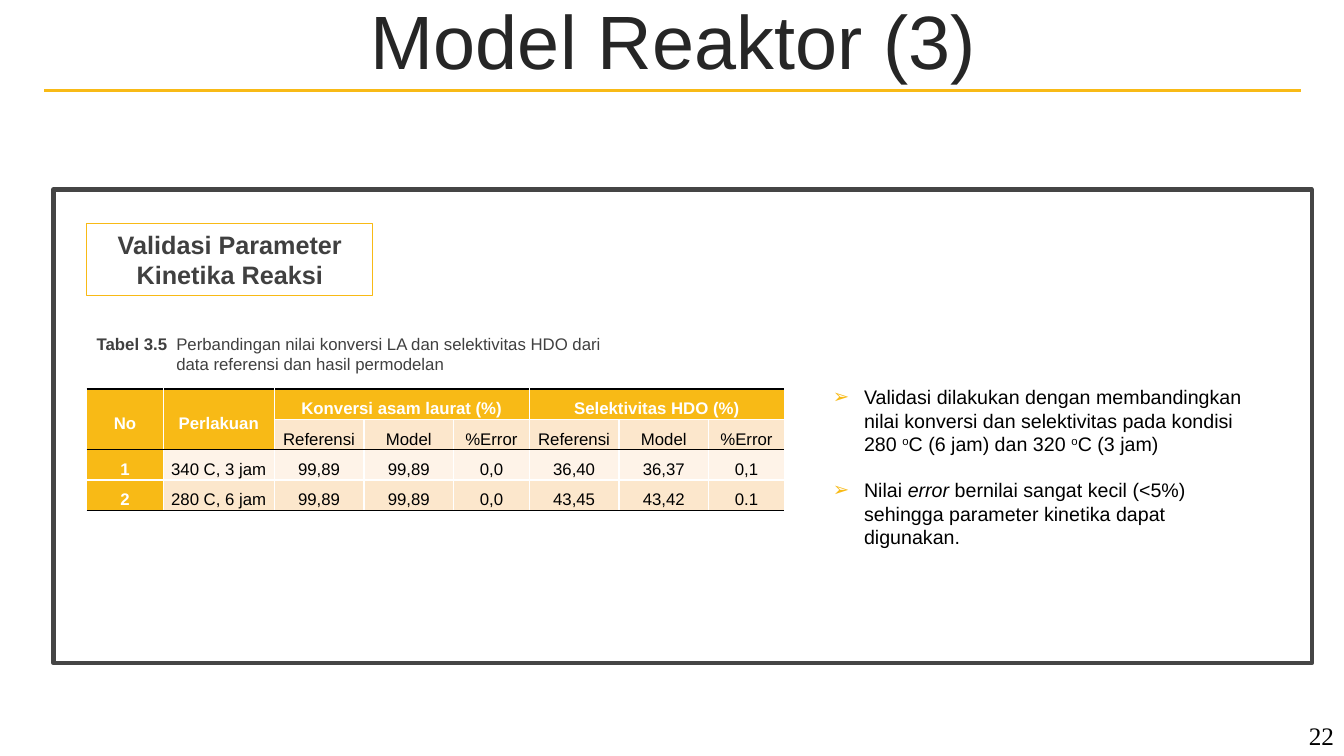
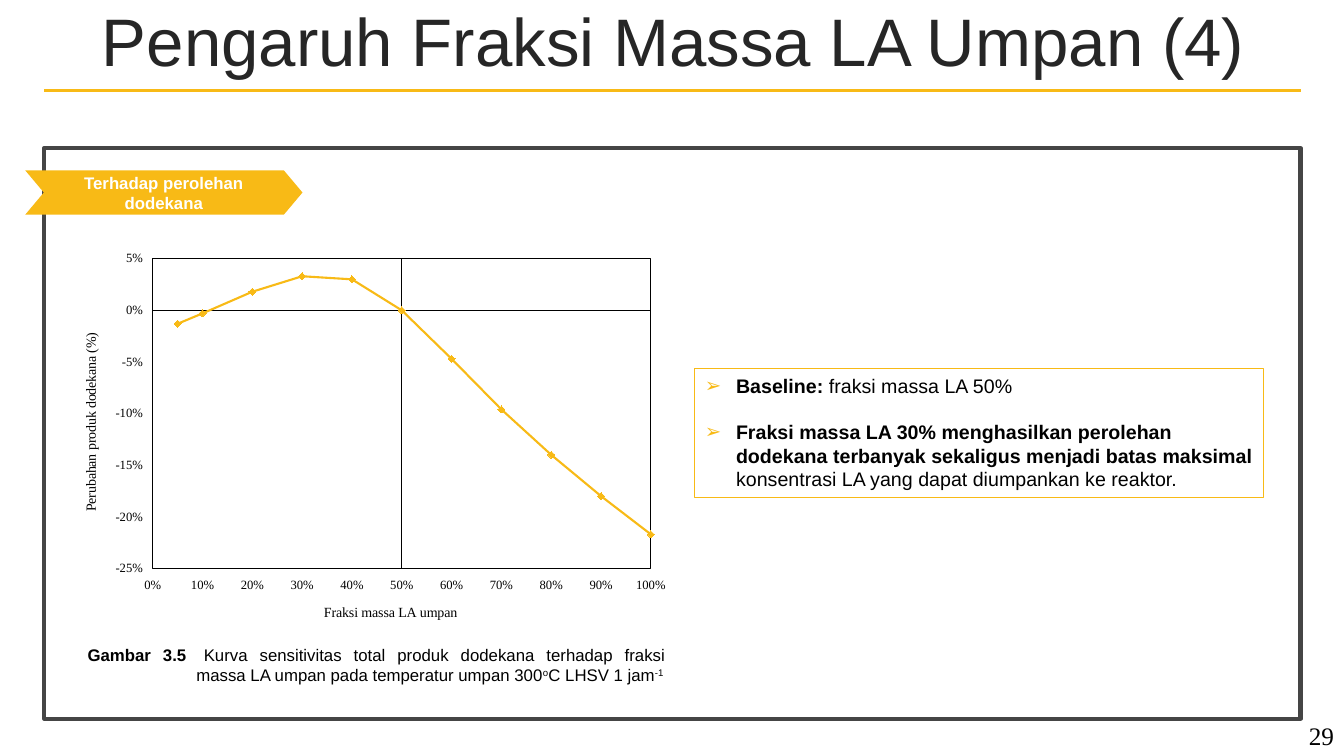
from lxml import etree
from pptx import Presentation
from pptx.chart.data import XyChartData
from pptx.dml.color import RGBColor
from pptx.enum.chart import XL_CHART_TYPE, XL_MARKER_STYLE, XL_TICK_LABEL_POSITION, XL_TICK_MARK
from pptx.enum.shapes import MSO_CONNECTOR, MSO_SHAPE
from pptx.enum.text import MSO_ANCHOR, MSO_AUTO_SIZE, PP_ALIGN
from pptx.oxml import parse_xml
from pptx.oxml.ns import nsdecls, qn
from pptx.util import Inches, Pt

GOLD = RGBColor(0xF8, 0xBA, 0x16)
FRAME = RGBColor(0x45, 0x45, 0x45)
GREY = RGBColor(0x40, 0x40, 0x40)
INK = RGBColor(0x26, 0x26, 0x26)
BLACK = RGBColor(0, 0, 0)
WHITE = RGBColor(0xFF, 0xFF, 0xFF)
BAND_DARK = RGBColor(0xFC, 0xE7, 0xCC)
BAND_LIGHT = RGBColor(0xFE, 0xF3, 0xE8)
SERIF = "Times New Roman"

REACTOR = {
    "title": "Model Reaktor (3)", "title_size": 54, "number": "22",
    "frame": (0.53, 1.88, 12.48, 4.7),
    "list_box": (8.16, 3.77, 4.31, 1.75), "list_line": None,
    "list": [
        [("Validasi dilakukan dengan membandingkan nilai konversi dan selektivitas pada kondisi 280 ", ""),
         ("o", "sup"), ("C (6 jam) dan 320 ", ""), ("o", "sup"), ("C (3 jam)", "")],
        [("Nilai ", ""), ("error ", "i"),
         ("bernilai sangat kecil (<5%) sehingga parameter kinetika dapat digunakan.", "")],
    ],
}
HEADING = "Validasi Parameter Kinetika Reaksi"
TABLE_CAPTION = [[
    ("Tabel 3.5\t", "b"),
    ("Perbandingan nilai konversi LA dan selektivitas HDO dari data referensi dan hasil permodelan", ""),
]]
ROWS = [
    ["No", "Perlakuan", "Konversi asam laurat (%)", "", "", "Selektivitas HDO (%)", "", ""],
    ["", "", "Referensi", "Model", "%Error", "Referensi", "Model", "%Error"],
    ["1", "340 C, 3 jam", "99,89", "99,89", "0,0", "36,40", "36,37", "0,1"],
    ["2", "280 C, 6 jam", "99,89", "99,89", "0,0", "43,45", "43,42", "0.1"],
]
COL_WIDTHS = [0.76, 1.1, 0.89, 0.89, 0.75, 0.89, 0.89, 0.75]
MERGES = [(0, 0, 1, 0), (0, 1, 1, 1), (0, 2, 0, 4), (0, 5, 0, 7)]

FRACTION = {
    "title": "Pengaruh Fraksi Massa LA Umpan (4)", "title_size": 48, "number": "29",
    "frame": (0.44, 1.47, 12.46, 5.66),
    "list_box": (6.89, 3.66, 5.64, 1.28), "list_line": GOLD,
    "list": [
        [("Baseline: ", "b"), ("fraksi massa LA 50%", "")],
        [("Fraksi massa LA 30% menghasilkan perolehan dodekana terbanyak sekaligus menjadi batas maksimal ", "b"),
         ("konsentrasi LA yang dapat diumpankan ke reaktor.", "")],
    ],
}
TAG = "Terhadap perolehan dodekana"
CHART_CAPTION = [[
    ("Gambar 3.5\t", "b"),
    ("Kurva sensitivitas total produk dodekana terhadap fraksi massa LA umpan pada temperatur umpan 300", ""),
    ("o", "sup"), ("C LHSV 1 jam", ""), ("-1", "sup"),
]]
X_TITLE = "Fraksi massa LA umpan"
Y_TITLE = "Perubahan produk dodekana (%)"
POINTS = [(0.05, -0.013), (0.1, -0.003), (0.2, 0.018), (0.3, 0.033), (0.4, 0.03), (0.5, 0),
          (0.6, -0.047), (0.7, -0.096), (0.8, -0.14), (0.9, -0.18), (1, -0.217)]
PLOT = {"x": 0.15, "y": 0.04, "w": 0.81, "h": 0.78}


def write(tf, text, size=12, color=BLACK, font="Arial", bold=False, align=None,
          spacing=None, before=0, after=0, hang=0, bullet=None):
    paras = [[(text, "")]] if isinstance(text, str) else text
    for i, runs in enumerate(paras):
        p = tf.paragraphs[0] if i == 0 else tf.add_paragraph()
        if hang:
            pPr = p._p.get_or_add_pPr()
            pPr.set("marL", str(Inches(hang)))
            pPr.set("indent", str(-Inches(hang)))
            if bullet:
                clr = etree.SubElement(pPr, qn("a:buClr"))
                etree.SubElement(clr, qn("a:srgbClr"), val=str(GOLD))
                etree.SubElement(pPr, qn("a:buFont"), typeface="Arial")
                etree.SubElement(pPr, qn("a:buChar"), char=bullet)
        p.alignment = align
        p.line_spacing = spacing
        p.space_before = Pt(before if i else 0)
        p.space_after = Pt(after)
        for content, style in runs:
            r = p.add_run()
            r.text = content
            r.font.size = Pt(size)
            r.font.name = font
            r.font.color.rgb = color
            r.font.bold = bold or style == "b"
            r.font.italic = style == "i"
            if style == "sup":
                r._r.get_or_add_rPr().set("baseline", "30000")


def place(sp, box):
    sp.left, sp.top, sp.width, sp.height = map(Inches, box)


def add_shape(slide, kind, box, fill=None, line=None, width=0.75):
    sp = slide.shapes.add_shape(kind, *map(Inches, box))
    sp.shadow.inherit = False
    if fill is None:
        sp.fill.background()
    else:
        sp.fill.solid()
        sp.fill.fore_color.rgb = fill
    if line is None:
        sp.line.fill.background()
    else:
        sp.line.color.rgb = line
        sp.line.width = Pt(width)
    return sp


def add_text(slide, box, text, anchor=MSO_ANCHOR.TOP, **fmt):
    tf = slide.shapes.add_textbox(*map(Inches, box)).text_frame
    tf.word_wrap = True
    tf.vertical_anchor = anchor
    write(tf, text, **fmt)


def add_slide(prs, data):
    slide = prs.slides.add_slide(prs.slide_layouts[1])
    title, body = slide.shapes.title, slide.placeholders[1]
    place(title, (0.35, 0.05, 12.66, 0.79))
    place(body, data["list_box"])
    for sp, anchor in ((title, MSO_ANCHOR.MIDDLE), (body, MSO_ANCHOR.TOP)):
        sp.text_frame.auto_size = MSO_AUTO_SIZE.NONE
        sp.text_frame.word_wrap = True
        sp.text_frame.vertical_anchor = anchor
    write(title.text_frame, data["title"], size=data["title_size"], color=INK,
          align=PP_ALIGN.CENTER, spacing=0.9)
    write(body.text_frame, data["list"], size=14, before=16, hang=0.31, bullet="➢")
    if data["list_line"]:
        body.line.color.rgb = data["list_line"]
        body.line.width = Pt(0.75)
    rule = slide.shapes.add_connector(MSO_CONNECTOR.STRAIGHT, Inches(0.44), Inches(0.9),
                                      Inches(12.9), Inches(0.9))
    rule.line.color.rgb = GOLD
    rule.line.width = Pt(2.25)
    etree.SubElement(rule._element.spPr, qn("a:effectLst"))
    add_shape(slide, MSO_SHAPE.RECTANGLE, data["frame"], line=FRAME, width=3)
    add_text(slide, (12.62, 7.1, 0.71, 0.4), data["number"], size=18, font=SERIF, align=PP_ALIGN.RIGHT)
    return slide


def set_borders(cell, **colors):
    tcPr = cell._tc.get_or_add_tcPr()
    lines = [parse_xml(f'<a:ln{side} {nsdecls("a")} w="12700"><a:solidFill>'
                       f'<a:srgbClr val="{color}"/></a:solidFill></a:ln{side}>'
                       if color else f'<a:ln{side} {nsdecls("a")}><a:noFill/></a:ln{side}>')
             for side, color in colors.items()]
    for i, ln in enumerate(lines):
        tcPr.insert(i, ln)


def add_comparison(slide):
    n_rows, n_cols = len(ROWS), len(COL_WIDTHS)
    table = slide.shapes.add_table(n_rows, n_cols, Inches(0.86), Inches(3.86),
                                   Inches(sum(COL_WIDTHS)), Inches(1.07)).table
    table.first_row = table.horz_banding = False
    for col, width in zip(table.columns, COL_WIDTHS):
        col.width = Inches(width)
    for r1, c1, r2, c2 in MERGES:
        table.cell(r1, c1).merge(table.cell(r2, c2))
    for r, row in enumerate(ROWS):
        for c, text in enumerate(row):
            cell = table.cell(r, c)
            head = r == 0 or c == 0 or (r == 1 and c == 1)
            last_row = r + (cell.span_height if cell.is_merge_origin else 1) - 1
            last_col = c + (cell.span_width if cell.is_merge_origin else 1) - 1
            cell.fill.solid()
            cell.fill.fore_color.rgb = GOLD if head else BAND_LIGHT if r == 2 else BAND_DARK
            cell.vertical_anchor = MSO_ANCHOR.MIDDLE
            cell.margin_left = cell.margin_right = Inches(0.07)
            cell.margin_top = cell.margin_bottom = 0
            set_borders(cell, L=WHITE if c else None,
                        R=WHITE if last_col < n_cols - 1 else None,
                        T=BLACK if r in (0, 2) else WHITE,
                        B=BLACK if last_row in (1, 3) else WHITE)
            if not cell.is_spanned:
                write(cell.text_frame, text, color=WHITE if head else BLACK, bold=head,
                      align=PP_ALIGN.CENTER, spacing=1.5, after=8)


def add_curve(slide):
    data = XyChartData(number_format="0%")
    series = data.add_series("Series 1")
    for x, y in POINTS:
        series.add_data_point(x, y)
    chart = slide.shapes.add_chart(XL_CHART_TYPE.XY_SCATTER_LINES, Inches(0.6), Inches(2.41),
                                   Inches(6.1), Inches(3.94), data).chart
    chart.has_legend = chart.has_title = False
    chart.font.name, chart.font.size = SERIF, Pt(10)
    chart.font.color.rgb = BLACK
    x_axis, y_axis = chart.category_axis, chart.value_axis
    for axis, title, low, high, step in ((x_axis, X_TITLE, 0, 1, 0.1), (y_axis, Y_TITLE, -0.25, 0.05, 0.05)):
        axis.minimum_scale, axis.maximum_scale, axis.major_unit = low, high, step
        axis.has_major_gridlines = False
        axis.major_tick_mark = axis.minor_tick_mark = XL_TICK_MARK.NONE
        axis.tick_label_position = XL_TICK_LABEL_POSITION.LOW
        labels = axis.tick_labels
        labels.number_format, labels.number_format_is_linked = "0%", False
        labels.font.size, labels.font.name = Pt(9), SERIF
        labels.font.color.rgb = BLACK
        axis.format.line.color.rgb = BLACK
        axis.format.line.width = Pt(0.75)
        write(axis.axis_title.text_frame, title, size=10, font=SERIF)
    x_axis.crosses_at = 0.5
    y_axis.crosses_at = 0
    plot = chart.plots[0]
    plot.vary_by_categories = False
    curve = plot.series[0]
    curve.smooth = False
    curve.format.line.color.rgb = GOLD
    curve.format.line.width = Pt(1.5)
    curve.marker.style, curve.marker.size = XL_MARKER_STYLE.DIAMOND, 5
    curve.marker.format.fill.solid()
    curve.marker.format.fill.fore_color.rgb = GOLD
    curve.marker.format.line.color.rgb = GOLD
    area = chart._chartSpace.chart.plotArea
    for old in area.findall(qn("c:layout")):
        area.remove(old)
    sizes = "".join(f'<c:{key} val="{val}"/>' for key, val in PLOT.items())
    area.insert(0, parse_xml(
        f'<c:layout {nsdecls("c")}><c:manualLayout><c:layoutTarget val="inner"/>'
        f'<c:xMode val="edge"/><c:yMode val="edge"/>{sizes}</c:manualLayout></c:layout>'))
    area.append(parse_xml(
        f'<c:spPr {nsdecls("c", "a")}><a:noFill/><a:ln w="9525"><a:solidFill>'
        f'<a:srgbClr val="{BLACK}"/></a:solidFill></a:ln></c:spPr>'))


def main():
    prs = Presentation()
    prs.slide_width, prs.slide_height = Inches(13.33), Inches(7.5)

    slide = add_slide(prs, REACTOR)
    sp = add_shape(slide, MSO_SHAPE.RECTANGLE, (0.86, 2.22, 2.84, 0.71), line=GOLD)
    tf = sp.text_frame
    tf.word_wrap = True
    tf.margin_left = tf.margin_right = 0
    write(tf, HEADING, size=18, color=GREY, bold=True, align=PP_ALIGN.CENTER)
    add_text(slide, (0.86, 3.26, 5.49, 0.5), TABLE_CAPTION, anchor=MSO_ANCHOR.MIDDLE, color=GREY, hang=0.79)
    add_comparison(slide)

    slide = add_slide(prs, FRACTION)
    sp = add_shape(slide, MSO_SHAPE.CHEVRON, (0.25, 1.69, 2.75, 0.44), fill=GOLD)
    sp.adjustments[0] = 0.42
    sp.text_frame.word_wrap = True
    sp.text_frame.vertical_anchor = MSO_ANCHOR.MIDDLE
    write(sp.text_frame, TAG, color=WHITE, bold=True, align=PP_ALIGN.CENTER)
    add_curve(slide)
    add_text(slide, (0.77, 6.35, 5.93, 0.5), CHART_CAPTION, align=PP_ALIGN.JUSTIFY, hang=1.08)

    prs.save("out.pptx")


if __name__ == "__main__":
    main()
